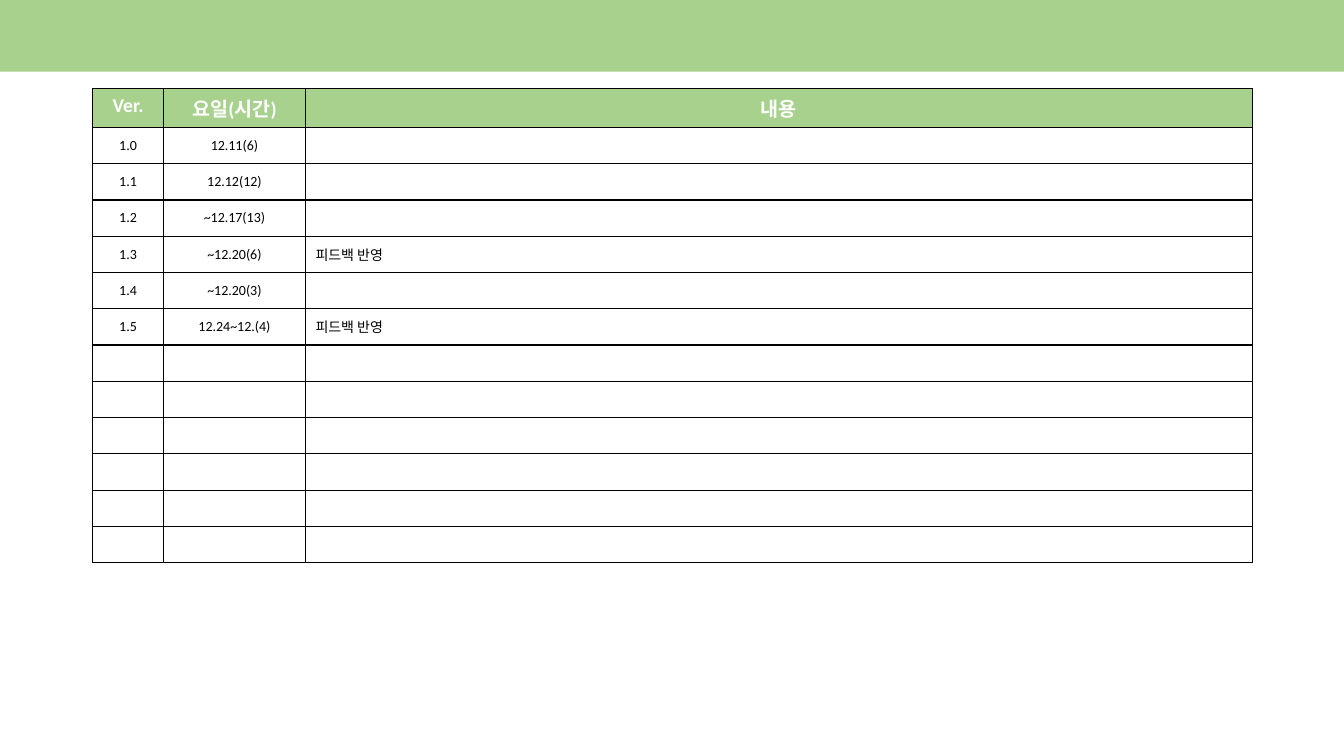
from lxml.etree import SubElement
from pptx import Presentation
from pptx.dml.color import RGBColor
from pptx.enum.shapes import MSO_SHAPE
from pptx.enum.text import MSO_ANCHOR, PP_ALIGN
from pptx.oxml.ns import qn
from pptx.util import Inches, Pt

GREEN, WHITE, BLACK = "A9D18E", "FFFFFF", "000000"
COLUMN_WIDTHS = [0.7, 1.41, 9.39]
HEADINGS = ["Ver.", "요일(시간)", "내용"]
REVISIONS = [
    ("1.0", "12.11(6)", ""),
    ("1.1", "12.12(12)", ""),
    ("1.2", "~12.17(13)", ""),
    ("1.3", "~12.20(6)", "피드백 반영"),
    ("1.4", "~12.20(3)", ""),
    ("1.5", "12.24~12.(4)", "피드백 반영"),
]
EMPTY_ROWS = 6
HEADER_FONT = {"name": "Calibri", "size": Pt(14), "bold": True}
BODY_FONT = {"name": "Calibri", "size": Pt(10), "bold": False}


def color(value):
    return RGBColor.from_string(value)


def add_borders(cell):
    properties = cell._tc.get_or_add_tcPr()
    for side in ("lnL", "lnR", "lnT", "lnB"):
        line = SubElement(properties, qn(f"a:{side}"), w=str(Pt(1)))
        fill = SubElement(line, qn("a:solidFill"))
        SubElement(fill, qn("a:srgbClr"), val=BLACK)


def fill_cell(cell, text, font, text_color, background, alignment, anchor):
    add_borders(cell)
    cell.fill.solid()
    cell.fill.fore_color.rgb = color(background)
    cell.vertical_anchor = anchor
    paragraph = cell.text_frame.paragraphs[0]
    paragraph.alignment = alignment
    if not text:
        size = str(int(font["size"].pt * 100))
        SubElement(paragraph._p, qn("a:endParaRPr"), sz=size)
        return
    run = paragraph.add_run()
    run.text = text
    for name, value in font.items():
        setattr(run.font, name, value)
    run.font.color.rgb = color(text_color)


def add_banner(slide, left, top, width, height):
    banner = slide.shapes.add_shape(
        MSO_SHAPE.RECTANGLE, Inches(left), Inches(top), Inches(width), Inches(height)
    )
    banner.shadow.inherit = False
    banner.fill.solid()
    banner.fill.fore_color.rgb = color(GREEN)
    banner.line.fill.background()


def add_history(slide, left, top, width, height, header_height=0.38):
    rows = REVISIONS + [("", "", "")] * EMPTY_ROWS
    table = slide.shapes.add_table(
        len(rows) + 1, len(HEADINGS),
        Inches(left), Inches(top), Inches(width), Inches(height),
    ).table
    for column, column_width in zip(table.columns, COLUMN_WIDTHS):
        column.width = Inches(column_width)
    for row in table.rows:
        row.height = Inches((height - header_height) / len(rows))
    table.rows[0].height = Inches(header_height)

    for column, heading in enumerate(HEADINGS):
        fill_cell(table.cell(0, column), heading, HEADER_FONT, WHITE, GREEN,
                  PP_ALIGN.CENTER, MSO_ANCHOR.TOP)
    for row, values in enumerate(rows, start=1):
        for column, text in enumerate(values):
            alignment = PP_ALIGN.LEFT if column == 2 else PP_ALIGN.CENTER
            fill_cell(table.cell(row, column), text, BODY_FONT, BLACK, WHITE,
                      alignment, MSO_ANCHOR.MIDDLE)


def main():
    presentation = Presentation()
    presentation.slide_width = Inches(13.33)
    presentation.slide_height = Inches(7.5)
    slide = presentation.slides.add_slide(presentation.slide_layouts[6])
    add_banner(slide, 0, 0, 13.33, 0.71)
    add_history(slide, 0.92, 0.88, 11.5, 4.7)
    presentation.save("out.pptx")


if __name__ == "__main__":
    main()
